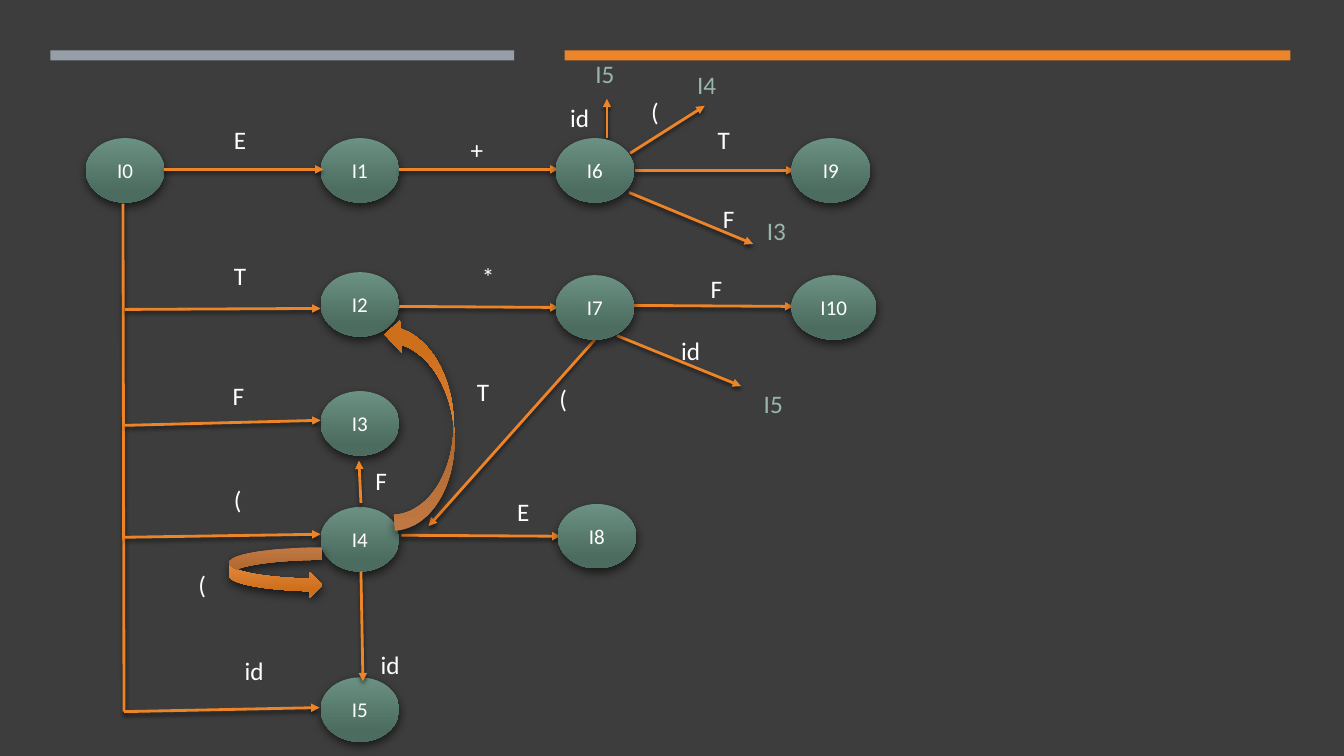
from lxml import etree
from pptx import Presentation
from pptx import util as u
from pptx.dml.color import RGBColor
from pptx.enum import shapes, text
from pptx.oxml import ns

PX = 9144
DARK = RGBColor(0x3D, 0x3D, 0x3D)
GREY = RGBColor(0x96, 0x9F, 0xA7)
ORANGE = RGBColor(0xED, 0x84, 0x28)
WHITE = RGBColor(0xFF, 0xFF, 0xFF)
SAGE = RGBColor(0x98, 0xB6, 0xAA)
GREEN = (RGBColor(0x6B, 0x91, 0x82), RGBColor(0x4C, 0x6C, 0x5F))
AMBER = (RGBColor(0xF0, 0x98, 0x56), RGBColor(0xCE, 0x6F, 0x1B))
KIND = shapes.MSO_SHAPE

LEFT = [("I0", 85, 137), ("I1", 318, 137), ("I2", 318, 270),
        ("I3", 318, 388), ("I4", 318, 503), ("I5", 318, 672)]
RIGHT = [("I6", 551, 137), ("I7", 551, 273), ("I8", 553, 500),
         ("I9", 785, 137), ("I10", 785, 273, 84)]
ARROWS = [
    (163, 168, 321, 168), (124, 307, 318, 306), (124, 422, 318, 417),
    (124, 533, 318, 530), (123, 706, 317, 702), (396, 168, 554, 168),
    (396, 304, 554, 305), (398, 531, 556, 532), (358, 567, 360, 676),
    (358, 499, 356, 457), (624, 191, 747, 242), (630, 169, 788, 169),
    (625, 152, 699, 105), (602, 137, 602, 98), (629, 303, 787, 304),
    (590, 337, 425, 522), (612, 333, 735, 383)]
MARKS = [
    ("E", 222, 118), ("T", 222, 253), ("F", 221, 372), ("(", 222, 476),
    ("+", 457, 128), ("*", 468, 254), ("E", 503, 487), ("T", 702, 118),
    ("(", 636, 91), ("F", 707, 197), ("F", 695, 266), ("(", 545, 375),
    ("(", 187, 560)]
MIDS = [("id", 222, 645), ("id", 357, 639), ("T", 449, 368),
        ("F", 348, 457), ("id", 545, 97), ("id", 655, 328)]
GOALS = [("I4", 671, 64), ("I3", 740, 209), ("I5", 570, 53), ("I5", 737, 380)]


class Graph:
    """Draws the parts of a state graph on one slide."""

    def __init__(self, slide):
        self.slide = slide
        self.font = "Calibri"
        self.slide.background.fill.solid()
        self.slide.background.fill.fore_color.rgb = DARK

    def shape(self, kind, x, y, w, h):
        item = self.slide.shapes.add_shape(kind, x * PX, y * PX, w * PX, h * PX)
        item.shadow.inherit = False
        item.line.fill.background()
        return item

    def bar(self, x, y, w, h, color):
        item = self.shape(KIND.RECTANGLE, x, y, w, h)
        item.fill.solid()
        item.fill.fore_color.rgb = color

    def shade(self, effect, alpha, blur, dist, angle):
        drop = etree.SubElement(
            effect, ns.qn("a:outerShdw"), blurRad=str(u.Pt(blur)),
            dist=str(u.Pt(dist)), dir=str(angle * 60000), rotWithShape="0")
        color = etree.SubElement(drop, ns.qn("a:srgbClr"), val="000000")
        etree.SubElement(color, ns.qn("a:alpha"), val=str(alpha * 1000))

    def blend(self, kind, x, y, w, h, colors):
        item = self.shape(kind, x, y, w, h)
        item.fill.gradient()
        item.fill.gradient_angle = 270
        for stop, color, place in zip(item.fill.gradient_stops, colors, (0, 0.84)):
            stop.color.rgb = color
            stop.position = place
        effect = item._element.spPr.find(ns.qn("a:effectLst"))
        self.shade(effect, 60, 7, 3, 84)
        return item

    def put(self, frame, words, size, color, align):
        para = frame.paragraphs[0]
        para.alignment = align
        run = para.add_run()
        run.text = words
        run.font.name = self.font
        run.font.size = u.Pt(size)
        run.font.color.rgb = color

    def node(self, name, x, y, w=78):
        frame = self.blend(KIND.OVAL, x, y, w, 64, GREEN).text_frame
        frame.vertical_anchor = text.MSO_ANCHOR.MIDDLE
        self.put(frame, name, 15, WHITE, text.PP_ALIGN.CENTER)

    def label(self, words, x, y, w, align, color=WHITE):
        box = self.slide.shapes.add_textbox(x * PX, y * PX, w * PX, 40 * PX)
        frame = box.text_frame
        frame.word_wrap = True
        frame.auto_size = text.MSO_AUTO_SIZE.SHAPE_TO_FIT_TEXT
        self.put(frame, words, 18, color, align)

    def edge(self, x, y, to_x, to_y, head=True):
        item = self.slide.shapes.add_connector(
            shapes.MSO_CONNECTOR.STRAIGHT, x * PX, y * PX, to_x * PX, to_y * PX)
        item.line.color.rgb = ORANGE
        item.line.width = u.Pt(2)
        props = item._element.spPr
        if head:
            line = props.find(ns.qn("a:ln"))
            etree.SubElement(line, ns.qn("a:tailEnd"), type="triangle")
        effect = etree.SubElement(props, ns.qn("a:effectLst"))
        self.shade(effect, 55, 3, 2, 90)

    def curve(self, x, y, w, h, turn=0):
        item = self.blend(KIND.CURVED_RIGHT_ARROW, x, y, w, h, AMBER)
        item.rotation = turn


def main():
    deck = Presentation()
    deck.slide_width = 1333 * PX
    deck.slide_height = 750 * PX
    graph = Graph(deck.slides.add_slide(deck.slide_layouts[6]))
    graph.bar(0, 0, 1333, 750, DARK)
    graph.bar(50, 50, 460, 10, GREY)
    graph.bar(560, 50, 720, 10, ORANGE)
    for node in LEFT:
        graph.node(*node)
    graph.edge(122, 202, 123, 706, head=False)
    for arrow in ARROWS:
        graph.edge(*arrow)
    for node in RIGHT:
        graph.node(*node)
    graph.curve(386, 314, 64, 211, 177)
    graph.curve(227, 543, 93, 50)
    for mark in MARKS:
        graph.label(*mark, 41, text.PP_ALIGN.LEFT)
    for mark in MIDS:
        graph.label(*mark, 60, text.PP_ALIGN.CENTER)
    for goal in GOALS:
        graph.label(*goal, 60, text.PP_ALIGN.CENTER, SAGE)
    deck.save("out.pptx")


if __name__ == "__main__":
    main()
